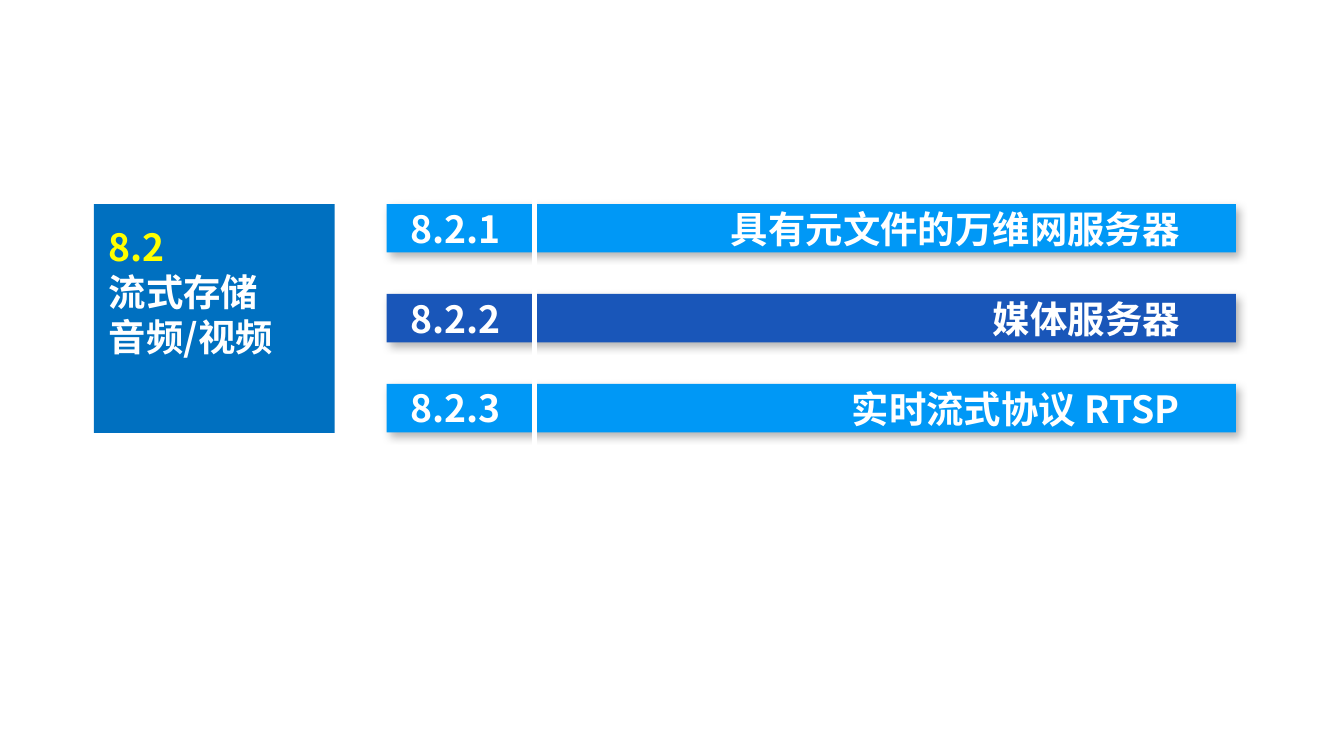
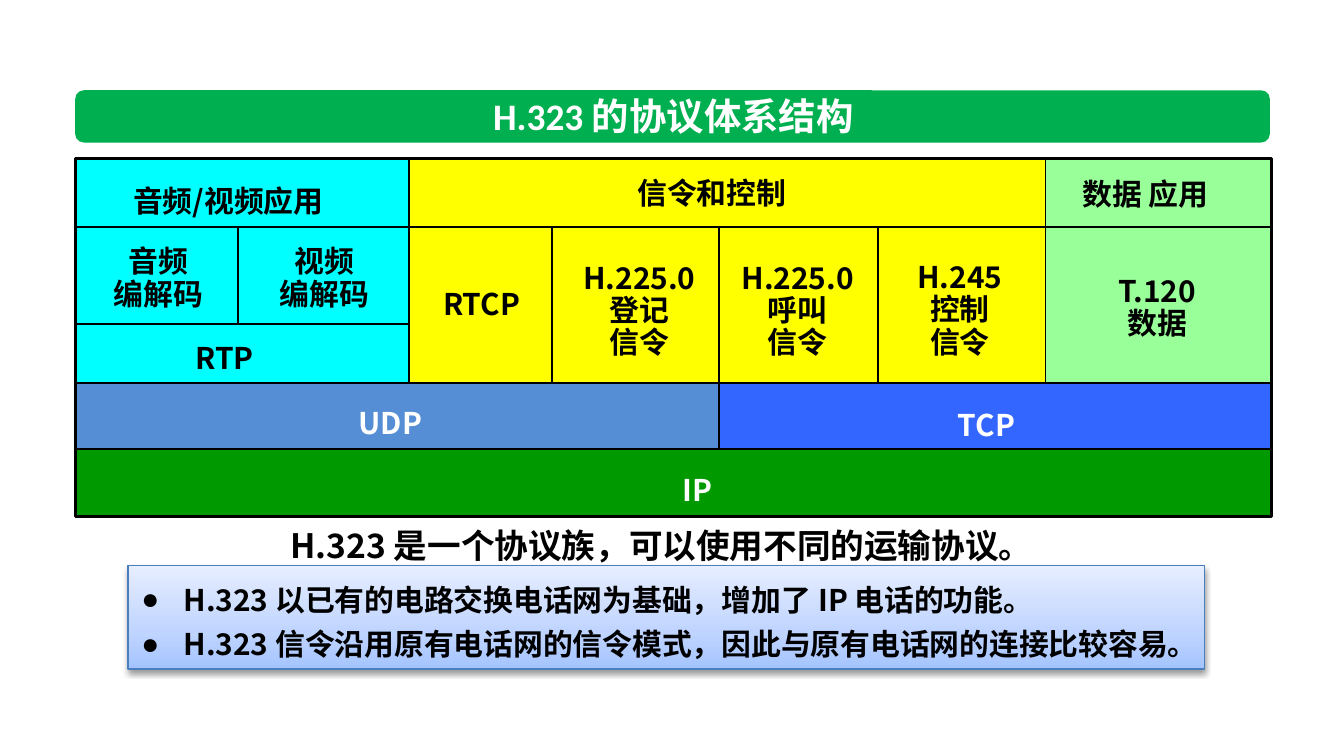
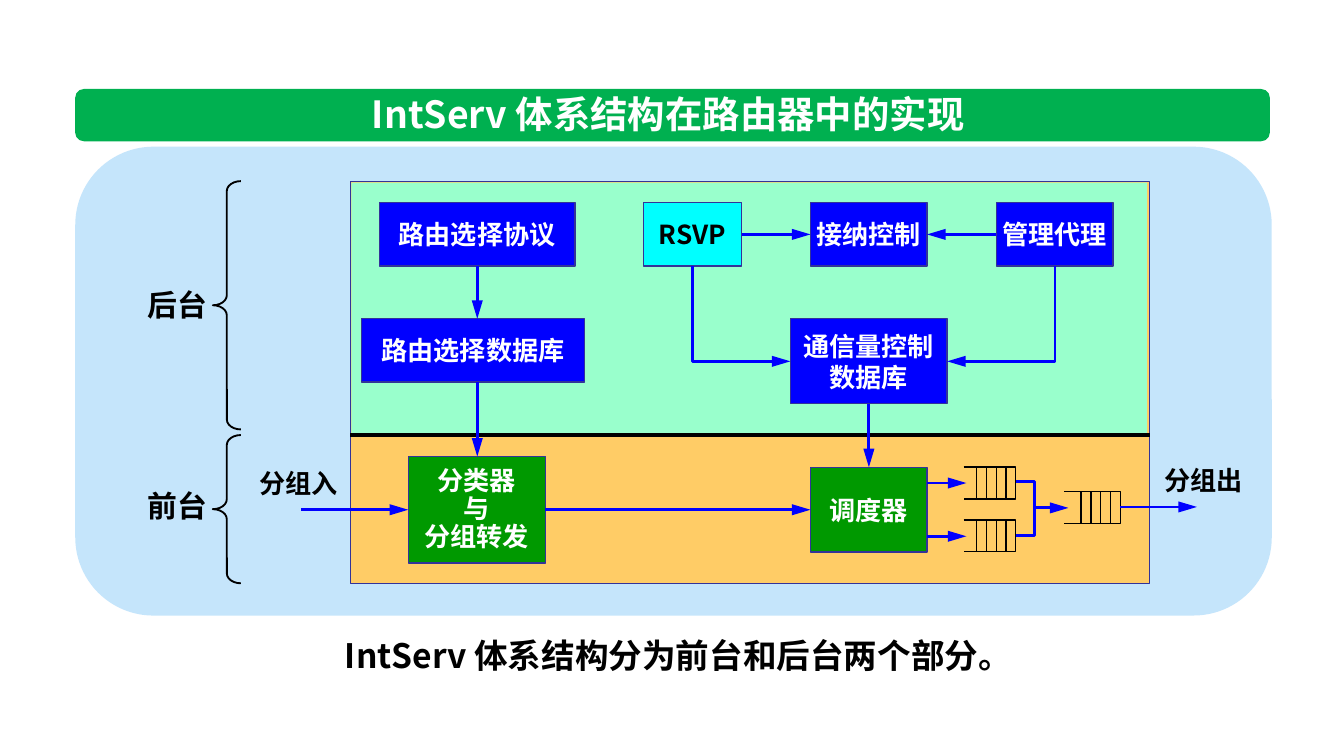
from copy import deepcopy

from lxml import etree
from pptx import Presentation
from pptx.dml.color import RGBColor
from pptx.enum.shapes import MSO_CONNECTOR, MSO_SHAPE
from pptx.enum.text import MSO_ANCHOR, MSO_AUTO_SIZE, PP_ALIGN
from pptx.oxml.ns import qn
from pptx.util import Pt

RECT, ROUND, BRACE = MSO_SHAPE.RECTANGLE, MSO_SHAPE.ROUNDED_RECTANGLE, MSO_SHAPE.LEFT_BRACE
STRAIGHT = MSO_CONNECTOR.STRAIGHT
LEFT, CENTER, RIGHT = PP_ALIGN.LEFT, PP_ALIGN.CENTER, PP_ALIGN.RIGHT
TOP, MIDDLE = MSO_ANCHOR.TOP, MSO_ANCHOR.MIDDLE
NO_FIT = MSO_AUTO_SIZE.NONE

BLACK = RGBColor(0x00, 0x00, 0x00)
WHITE = RGBColor(0xFF, 0xFF, 0xFF)
YELLOW = RGBColor(0xFF, 0xFF, 0x00)
CYAN = RGBColor(0x00, 0xFF, 0xFF)
BLUE = RGBColor(0x00, 0x00, 0xFF)
GREEN = RGBColor(0x00, 0x99, 0x00)
TITLE_GREEN = RGBColor(0x00, 0xB0, 0x50)
SECTION_BLUE = RGBColor(0x00, 0x70, 0xC0)
BAR_LIGHT = RGBColor(0x00, 0x98, 0xF6)
BAR_DARK = RGBColor(0x19, 0x56, 0xB9)
DATA_GREEN = RGBColor(0x99, 0xFF, 0x99)
UDP_BLUE = RGBColor(0x55, 0x8E, 0xD5)
TCP_BLUE = RGBColor(0x33, 0x66, 0xFF)
NOTE_EDGE = RGBColor(0x4B, 0x7E, 0xBC)
NOTE_STOPS = [(0, RGBColor(0xA4, 0xC4, 0xFF)), (0.35, RGBColor(0xBF, 0xD4, 0xFF)),
              (1, RGBColor(0xE6, 0xEE, 0xFF))]
PANEL_BLUE = RGBColor(0xC5, 0xE5, 0xFB)
FRONT_ORANGE = RGBColor(0xFF, 0xCC, 0x66)
BACK_GREEN = RGBColor(0x99, 0xFF, 0xCC)
NODE_EDGE = RGBColor(0x33, 0x33, 0x99)

FONT = "Noto Sans CJK SC"
LATIN_FONT = "Calibri"


def place(sp, x, y, w, h):
    """Set the position and size of a shape in points."""
    sp.left, sp.top, sp.width, sp.height = Pt(x), Pt(y), Pt(w), Pt(h)


def style_runs(p, size, color, font=FONT):
    """Format every run of a paragraph."""
    for r in p.runs:
        r.font.size, r.font.bold, r.font.name = Pt(size), True, font
        r.font.color.rgb = color
        etree.SubElement(r.font._element, qn("a:ea")).set("typeface", FONT)


def write(sp, text, size, color, align=CENTER, spacing=1.0, anchor=MIDDLE,
          wrap=False, font=FONT):
    """Fill a shape with formatted text."""
    tf = sp.text_frame
    tf.text = text
    tf.auto_size, tf.word_wrap, tf.vertical_anchor = NO_FIT, wrap, anchor
    for p in tf.paragraphs:
        p.alignment, p.line_spacing = align, spacing
        p.space_before = Pt(0)
        style_runs(p, size, color, font)
    return tf


def add_label(s, text, cx, cy, w, size, color=BLACK, spacing=1.0):
    """Add text centred on a point."""
    h = size * 1.2 * spacing * (text.count("\n") + 1)
    sp = s.shapes.add_textbox(Pt(cx - w / 2), Pt(cy - h / 2), Pt(w), Pt(h))
    tf = write(sp, text, size, color, spacing=spacing)
    tf.margin_left = tf.margin_right = tf.margin_top = tf.margin_bottom = 0


def set_outline(sp, color, width):
    """Give a shape an outline, or none."""
    if color is None:
        sp.line.fill.background()
    else:
        sp.line.color.rgb, sp.line.width = color, Pt(width)


def add_box(s, x, y, w, h, fill=None, edge=None, width=0.75, kind=RECT):
    """Add a flat preset shape."""
    sp = s.shapes.add_shape(kind, Pt(x), Pt(y), Pt(w), Pt(h))
    sp.shadow.inherit = False
    if fill is None:
        sp.fill.background()
    else:
        sp.fill.solid()
        sp.fill.fore_color.rgb = fill
    set_outline(sp, edge, width)
    return sp


def add_arrowhead(sp):
    """Put a long triangle at the end of a line."""
    ln = sp.element.spPr.find(qn("a:ln"))
    etree.SubElement(ln, qn("a:tailEnd"), type="triangle", w="med", len="lg")


def add_line(s, x1, y1, x2, y2, color=BLACK, width=1, arrow=False):
    """Add a straight line or arrow."""
    c = s.shapes.add_connector(STRAIGHT, Pt(x1), Pt(y1), Pt(x2), Pt(y2))
    set_outline(c, color, width)
    if arrow:
        add_arrowhead(c)
    etree.SubElement(c.element.spPr, qn("a:effectLst"))


def add_bent(s, points, color, width, arrow=False):
    """Add an open outline through the points."""
    start, *rest = [(Pt(x), Pt(y)) for x, y in points]
    builder = s.shapes.build_freeform(*start)
    builder.add_line_segments(rest, close=False)
    sp = builder.convert_to_shape()
    sp.shadow.inherit = False
    sp.fill.background()
    set_outline(sp, color, width)
    if arrow:
        add_arrowhead(sp)


def add_shadow(sp, opacity, blur, distance, angle):
    """Add a black outer shadow."""
    sp.shadow.inherit = False
    effects = sp.element.spPr.find(qn("a:effectLst"))
    shadow = etree.SubElement(effects, qn("a:outerShdw"), blurRad=str(Pt(blur)),
                              dist=str(Pt(distance)), dir=str(angle * 60000),
                              algn="tl", rotWithShape="0")
    clr = etree.SubElement(shadow, qn("a:srgbClr"), val=str(BLACK))
    etree.SubElement(clr, qn("a:alpha"), val=str(opacity * 1000))


def set_bullet(p, char=None, indent=0):
    """Set the bullet and hanging indent of a paragraph."""
    pPr = p._p.get_or_add_pPr()
    pPr.set("marL", str(Pt(indent)))
    pPr.set("indent", str(-Pt(indent)))
    if char:
        etree.SubElement(pPr, qn("a:buChar")).set("char", char)
    else:
        etree.SubElement(pPr, qn("a:buNone"))


def bring_to_front(sp):
    """Move a shape above the others."""
    sp.element.getparent().append(sp.element)


def title_band(s, text, x, y, w, h, dx, dy, font=FONT):
    """Draw the green band with the slide title on it."""
    band = add_box(s, x, y, w, h, TITLE_GREEN, kind=ROUND)
    band.adjustments[0] = 0.167
    title = s.shapes.title
    place(title, x + 100 + dx, y - 2 + dy, w - 200, h + 4)
    write(title, text, 20, WHITE, font=font)
    bring_to_front(title)


def section_block(s, x, y, w, h):
    """Draw the section square with its number and name."""
    add_box(s, x, y, w, h, SECTION_BLUE)
    title = s.shapes.title
    place(title, x + 0.75, y + 7.2, w - 0.75, 80)
    tf = write(title, "8.2\n流式存储\n音频/视频", 20, WHITE, LEFT, anchor=TOP, wrap=True)
    tf.paragraphs[0].runs[0].font.color.rgb = YELLOW
    bring_to_front(title)


def section_list(s, x, y, w, h):
    """Draw the bars with the numbers and names of the subsections."""
    pitch, bar_h, split = 48.2, 26, 79.2
    for i, color in enumerate((BAR_LIGHT, BAR_DARK, BAR_LIGHT)):
        add_shadow(add_box(s, x, y + i * pitch, w, bar_h, color), 30, 4.5, 2.6, 53)
    add_line(s, x + split, y - 28, x + split, y + 200, WHITE, 2.25)
    numbers = s.shapes.add_textbox(Pt(x + 5.5), Pt(y - 2.5), Pt(split - 6), Pt(h + 6))
    names = s.placeholders[1]
    place(names, x + split, y - 2.5, 353, h + 6)
    bring_to_front(names)
    for sp, text, align in (
            (numbers, "8.2.1\n8.2.2\n8.2.3", LEFT),
            (names, "具有元文件的万维网服务器\n媒体服务器\n实时流式协议 RTSP", RIGHT)):
        tf = write(sp, text, 20, WHITE, align, anchor=TOP, wrap=True)
        for i, p in enumerate(tf.paragraphs):
            set_bullet(p)
            p.space_before = Pt(24.1 if i else 0)


def protocol_stack(s, x, y, w, h):
    """Draw the layered H.323 protocol diagram."""
    cols = (0, 87, 178.8, 255.5, 345, 430, 519.8, w)
    rows = (0, 37, 89, 120.5, 156, h)
    areas = ((0, 7, 4, 5, GREEN), (4, 7, 3, 4, TCP_BLUE), (0, 4, 3, 4, UDP_BLUE),
             (0, 2, 0, 3, CYAN), (6, 7, 0, 3, DATA_GREEN), (2, 6, 0, 3, YELLOW))
    for c1, c2, r1, r2, color in areas:
        add_box(s, x + cols[c1], y + rows[r1], cols[c2] - cols[c1],
                rows[r2] - rows[r1], color)
    add_box(s, x, y, w, h, edge=BLACK, width=1.5)
    for row, end in ((1, 7), (2, 2), (3, 7), (4, 7)):
        add_line(s, x, y + rows[row], x + cols[end], y + rows[row])
    for col, r1, r2 in ((1, 1, 2), (2, 0, 3), (3, 1, 3), (4, 1, 4), (5, 1, 3), (6, 0, 3)):
        add_line(s, x + cols[col], y + rows[r1], x + cols[col], y + rows[r2])
    labels = (
        ("音频/视频应用", 82, 22.5, 120, BLACK),
        ("音频\n编解码", 44.5, 65, 67, BLACK),
        ("视频\n编解码", 133.5, 65, 67, BLACK),
        ("RTP", 80, 107, 49, BLACK),
        ("信令和控制", 341, 18.7, 101, BLACK),
        ("RTCP", 217.7, 78.2, 56, BLACK),
        ("H.225.0\n登记\n信令", 302.3, 82.3, 82, BLACK),
        ("H.225.0\n呼叫\n信令", 387, 82.3, 82, BLACK),
        ("H.245\n控制\n信令", 474, 82, 66, BLACK),
        ("数据 应用", 573.5, 18.8, 89, BLACK),
        ("T.120\n数据", 579.8, 80.8, 61, BLACK),
        ("UDP", 168.8, 141.6, 50, WHITE),
        ("TCP", 488.2, 142.8, 45, WHITE),
        ("IP", 333.5, 177.6, 30, WHITE),
    )
    for text, cx, cy, width, color in labels:
        add_label(s, text, x + cx, y + cy, width, 16, color, 0.9 if "\n" in text else 1.0)


def note_list(s, x, y, w, h):
    """Draw the shaded list of remarks."""
    body = s.placeholders[1]
    place(body, x, y, w, h)
    body.fill.gradient()
    body.fill.gradient_angle = 90
    stops = body.element.spPr.find(".//" + qn("a:gsLst"))
    stops.append(deepcopy(stops[0]))
    for stop, (position, color) in zip(body.fill.gradient_stops, NOTE_STOPS):
        stop.position, stop.color.rgb = position, color
    set_outline(body, NOTE_EDGE, 0.75)
    add_shadow(body, 38, 3.1, 1.6, 90)
    items = ("H.323 以已有的电路交换电话网为基础，增加了 IP 电话的功能。",
             "H.323 信令沿用原有电话网的信令模式，因此与原有电话网的连接比较容易。")
    tf = write(body, "\n".join(items), 16, BLACK, LEFT, Pt(24), TOP, True)
    for p in tf.paragraphs:
        set_bullet(p, "●", 22.5)
    bring_to_front(body)


def packet_queue(s, x, y, w, h):
    """Draw a queue open on the left with four slots."""
    add_bent(s, ((x, y), (x + w, y), (x + w, y + h), (x, y + h)), BLACK, 0.75)
    for i in range(1, 5):
        bar = x + w - i * 5.25
        add_line(s, bar, y, bar, y + h, BLACK, 0.75)


def router(s, x, y, w, h):
    """Draw the router with its background and foreground parts."""
    split = 136
    add_box(s, x, y, w, h, FRONT_ORANGE, NODE_EDGE)
    add_box(s, x + 0.5, y + 0.7, w - 2, split - 0.7, BACK_GREEN)
    nodes = (
        ("路由选择协议", 15.5, 11.5, 105, 34, BLUE),
        ("路由选择数据库", 6, 73.7, 119.5, 34, BLUE),
        ("RSVP", 157.2, 11.5, 52.5, 34, CYAN),
        ("接纳控制", 246.5, 11.5, 62.5, 34, BLUE),
        ("管理代理", 346, 11.5, 62.5, 34, BLUE),
        ("通信量控制\n数据库", 235.7, 73.7, 84, 45.5, BLUE),
        ("分类器\n与\n分组转发", 31, 147.5, 73.5, 57, GREEN),
        ("调度器", 246.5, 153.2, 62.5, 45.5, GREEN),
    )
    for text, nx, ny, nw, nh, color in nodes:
        sp = add_box(s, x + nx, y + ny, nw, nh, color, NODE_EDGE)
        write(sp, text, 14, BLACK if color == CYAN else WHITE,
              spacing=0.9 if text.count("\n") == 2 else 1.0)
    for qx, qy, qw in ((328.5, 153.2, 28), (328.5, 181.5, 28), (382.5, 166.3, 30)):
        packet_queue(s, x + qx, y + qy, qw, 17)
    add_line(s, x, y + split, x + w, y + split, BLACK, 2.25)
    arrows = ((68, 45.5, 68, 73.7), (68, 107.7, 68, 147.5),
              (209.7, 28.5, 246.5, 28.5), (346, 28.5, 309, 28.5),
              (277.8, 119.2, 277.8, 153.2), (-26.5, 176, 31, 176), (104.5, 176, 246.5, 176),
              (309, 161.7, 330, 161.7), (309, 190.2, 330, 190.2),
              (366.7, 175, 384.7, 175), (412.5, 174.5, 453.5, 174.5))
    for x1, y1, x2, y2 in arrows:
        add_line(s, x + x1, y + y1, x + x2, y + y2, BLUE, 1.5, True)
    bends = ((((183.3, 45.5), (183.3, 96.5), (235.7, 96.5)), True),
             (((377.5, 45.5), (377.5, 96.5), (319.7, 96.5)), True),
             (((356.5, 160.8), (366.7, 160.8), (366.7, 189.8), (356.5, 189.8)), False))
    for points, arrow in bends:
        add_bent(s, [(x + px, y + py) for px, py in points], BLUE, 1.5, arrow)
    add_label(s, "分组入", x - 27.8, y + 161.5, 57, 14)
    add_label(s, "分组出", x + 457.2, y + 160, 57, 14)
    for text, top, height, cy in (("后台", 0, 133, 66.3), ("前台", split, h - split, 174)):
        add_label(s, text, x - 92.8, y + cy, 47, 16)
        brace = add_box(s, x - 73.7, y + top, 15, height, edge=BLACK, width=1, kind=BRACE)
        brace.adjustments[0] = 0.355


def section_slide(prs):
    """Build the section overview."""
    s = prs.slides.add_slide(prs.slide_layouts[1])
    section_list(s, 207.1, 109.3, 455, 122.4)
    section_block(s, 50.3, 109.3, 129, 122.6)


def h323_slide(prs):
    """Build the H.323 protocol slide."""
    s = prs.slides.add_slide(prs.slide_layouts[1])
    title_band(s, "H.323 的协议体系结构", 40.3, 48.4, 640, 28, 0.5, -0.3, LATIN_FONT)
    protocol_stack(s, 40.3, 84.7, 641, 192)
    add_label(s, "H.323 是一个协议族，可以使用不同的运输协议。", 354.3, 292, 453, 18)
    note_list(s, 68.6, 303, 576.7, 55.5)


def intserv_slide(prs):
    """Build the IntServ router slide."""
    s = prs.slides.add_slide(prs.slide_layouts[5])
    add_box(s, 40.3, 78.6, 641, 251.2, PANEL_BLUE, kind=ROUND)
    title_band(s, "IntServ 体系结构在路由器中的实现", 40.3, 47.7, 640, 28, -2.3, -0.7)
    router(s, 187.7, 97.1, 428.2, 215.4)
    add_label(s, "IntServ 体系结构分为前台和后台两个部分。", 363.5, 350.8, 376, 18)


def main():
    """Build and save the presentation."""
    prs = Presentation()
    prs.slide_width, prs.slide_height = Pt(720), Pt(405)
    section_slide(prs)
    h323_slide(prs)
    intserv_slide(prs)
    prs.save("out.pptx")


if __name__ == "__main__":
    main()
